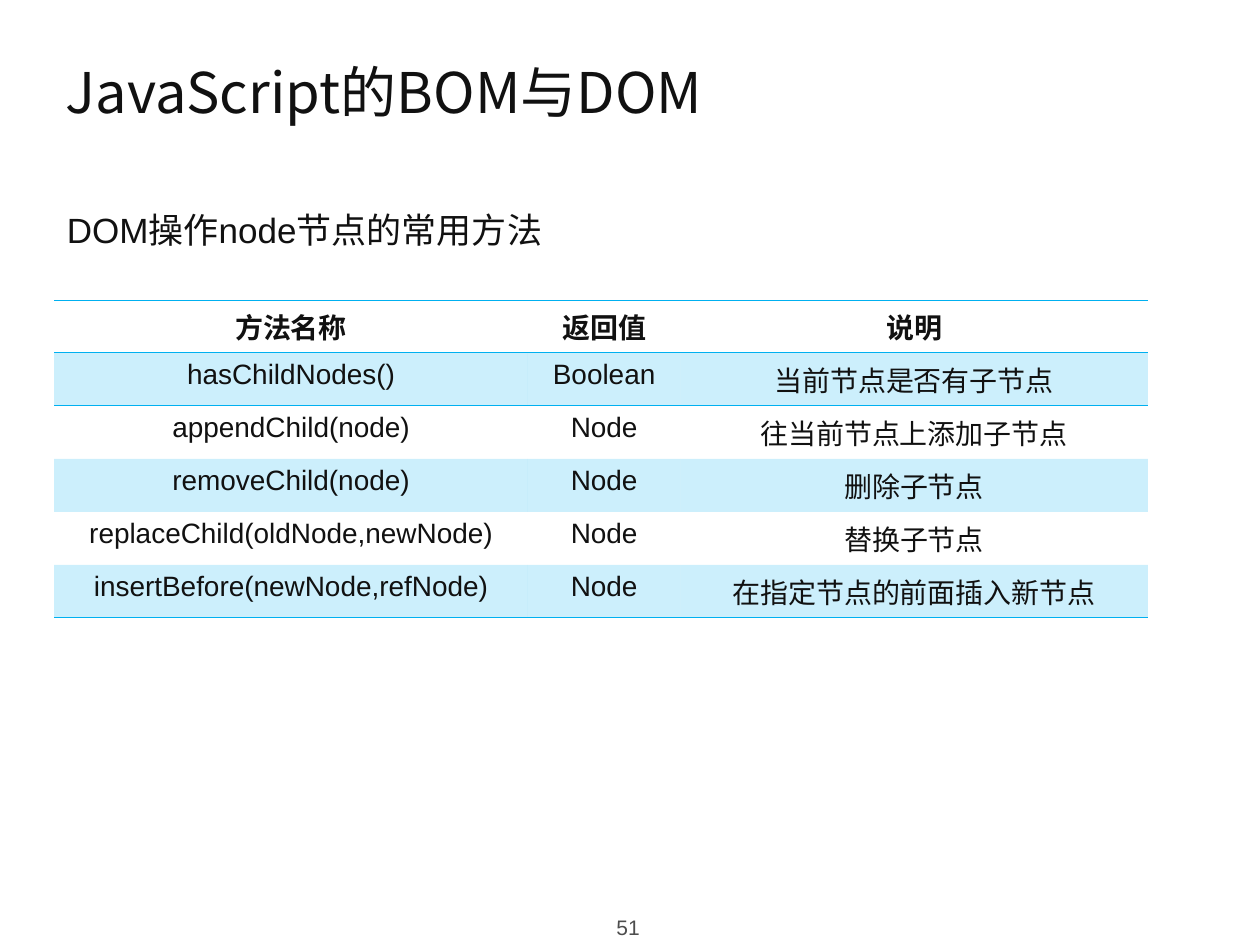
from lxml.etree import SubElement
from pptx import Presentation
from pptx.dml.color import RGBColor
from pptx.enum.text import MSO_ANCHOR as Anchor, MSO_AUTO_SIZE as AutoSize, PP_ALIGN as Align
from pptx.oxml import parse_xml
from pptx.oxml.ns import nsdecls, qn
from pptx.util import Inches, Pt

GRID = 0.1
NO_STYLE = "{2D5ABB26-0587-4C30-8999-92F81FD0307C}"
METHODS = [
    ("方法名称", "返回值", "说明"),
    ("hasChildNodes()", "Boolean", "当前节点是否有子节点"),
    ("appendChild(node)", "Node", "往当前节点上添加子节点"),
    ("removeChild(node)", "Node", "删除子节点"),
    ("replaceChild(oldNode,newNode)", "Node", "替换子节点"),
    ("insertBefore(newNode,refNode)", "Node", "在指定节点的前面插入新节点"),
]


def color(hex_text):
    return RGBColor.from_string(hex_text)


def grid(*cells):
    return [Inches(cell * GRID) for cell in cells]


class SlideBuilder:
    ink, muted, accent = "111111", "4D4D4D", "00B0F0"
    latin, chinese = "Arial", "Noto Sans CJK SC"

    def __init__(self, presentation):
        self.slide = presentation.slides.add_slide(presentation.slide_layouts[1])

    def set_text(self, frame, text, size, hex_text=None, font=None, bold=False, align=Align.LEFT):
        frame.text = text
        paragraph = frame.paragraphs[0]
        paragraph.alignment = align
        for run in paragraph.runs:
            run.font.size = Pt(size)
            run.font.bold = bold
            run.font.name = font or self.latin
            run.font.color.rgb = color(hex_text or self.ink)
            SubElement(run.font._element, qn("a:ea")).set("typeface", self.chinese)
        return paragraph

    def place(self, shape, area, anchor):
        shape.left, shape.top, shape.width, shape.height = grid(*area)
        frame = shape.text_frame
        frame.word_wrap = True
        frame.auto_size = AutoSize.NONE
        frame.vertical_anchor = anchor
        return frame

    def title(self, text, area):
        frame = self.place(self.slide.shapes.title, area, Anchor.MIDDLE)
        self.set_text(frame, text, 32, font=self.chinese)

    def body(self, text, area):
        frame = self.place(self.slide.placeholders[1], area, Anchor.TOP)
        paragraph = self.set_text(frame, text, 20)
        paragraph.line_spacing = 1.5
        paragraph.space_before, paragraph.space_after = Pt(0), Pt(4)
        properties = paragraph._p.get_or_add_pPr()
        properties.set("marL", "0")
        properties.set("indent", "0")
        SubElement(properties, qn("a:buNone"))

    def page_number(self, number, area):
        shape = self.slide.shapes.add_textbox(*grid(*area))
        frame = self.place(shape, area, Anchor.MIDDLE)
        self.set_text(frame, str(number), 12, self.muted, align=Align.CENTER)

    def border(self, cell, *sides):
        for index, side in enumerate(sides):
            line = parse_xml(
                f'<a:{side} {nsdecls("a")} w="{int(Pt(0.45))}"><a:solidFill>'
                f'<a:srgbClr val="{self.accent}"/></a:solidFill></a:{side}>'
            )
            cell._tc.get_or_add_tcPr().insert(index, line)

    def shade(self, cell, percent):
        cell.fill.solid()
        cell.fill.fore_color.rgb = color(self.accent)
        value = cell._tc.tcPr.find(".//" + qn("a:srgbClr"))
        SubElement(value, qn("a:alpha")).set("val", str(percent * 1000))

    def table(self, rows, left, top, widths, row_height):
        area = grid(left, top, sum(widths), row_height * len(rows))
        table = self.slide.shapes.add_table(len(rows), len(widths), *area).table
        table._tbl.tblPr.find(qn("a:tableStyleId")).text = NO_STYLE
        table.first_row = table.horz_banding = False
        for column, width in zip(table.columns, grid(*widths)):
            column.width = width
        last = len(rows) - 1
        for row, texts in enumerate(rows):
            for column, text in enumerate(texts):
                cell = table.cell(row, column)
                cell.margin_left = cell.margin_right = Inches(0.08)
                cell.margin_top = cell.margin_bottom = Inches(0.05)
                paragraph = self.set_text(cell.text_frame, text, 16, bold=row == 0, align=Align.CENTER)
                paragraph.space_after = Pt(1.2)
                if row % 2:
                    self.shade(cell, 20)
                else:
                    cell.fill.background()
                if row == 0:
                    self.border(cell, "lnT", "lnB")
                elif row == 1:
                    self.border(cell, "lnT")
                elif row == last:
                    self.border(cell, "lnB")


def main():
    presentation = Presentation()
    presentation.slide_width, presentation.slide_height = Inches(10), Inches(7.5)
    builder = SlideBuilder(presentation)
    builder.title("JavaScript的BOM与DOM", (4.2, 3.3, 91.4, 7.9))
    builder.body("DOM操作node节点的常用方法", (4.3, 14.4, 91.4, 49))
    builder.page_number(51, (38.2, 72.1, 23.3, 2.9))
    builder.table(METHODS, 4.3, 23.8, (37.6, 12.1, 37.1), 2.7)
    presentation.save("out.pptx")


if __name__ == "__main__":
    main()
